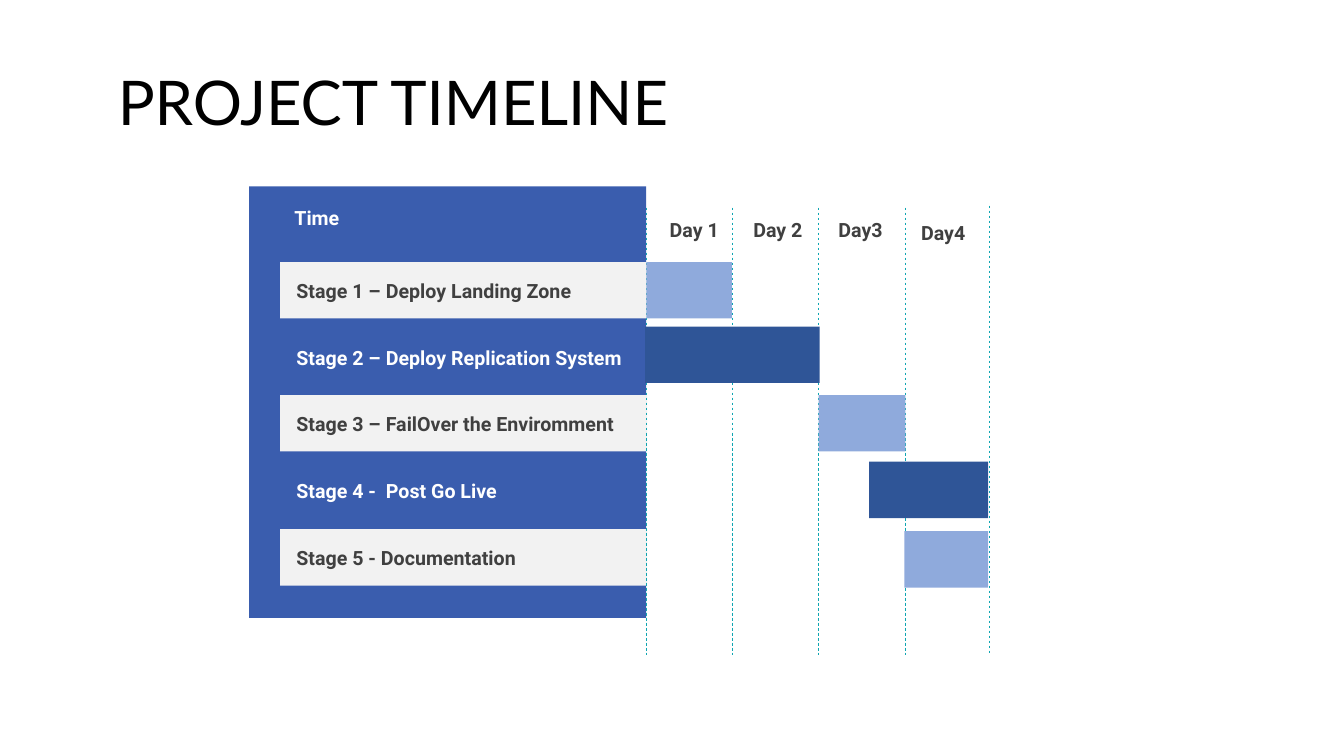
import pptx
import pptx.util
import pptx.dml.color
import pptx.enum.dml
import pptx.enum.shapes
import pptx.enum.text
import pptx.oxml.ns
import lxml.etree

PX = 9144
BLUE, DARK, LIGHT = "3A5DAE", "2F5597", "8FAADC"
GREY, TEXT, WHITE, TEAL = "F2F2F2", "404040", "FFFFFF", "0FA5B1"
ANCHOR = pptx.enum.text.MSO_ANCHOR
ALIGN = pptx.enum.text.PP_ALIGN
LABEL = {"size": pptx.util.Pt(14), "name": "Roboto", "bold": True}
TITLE = {"size": pptx.util.Pt(44), "name": "Lato"}

STAGES = [
    "Stage 1 – Deploy Landing Zone",
    "Stage 2 – Deploy Replication System",
    "Stage 3 – FailOver the Enviromment",
    "Stage 4 -  Post Go Live",
    "Stage 5 - Documentation",
]
BARS = [
    (641, 260, 85),
    (640, 324, 173),
    (812, 392, 86),
    (862, 458, 118),
    (897, 527, 83),
]
DAYS = [("Day 1", 654, 216), ("Day 2", 737, 216), ("Day3", 819, 216), ("Day4", 901, 219)]
GRID_LINES = [(641, 206), (726, 206), (812, 206), (898, 206), (981, 204)]


def px(*lengths):
    return [pptx.util.Emu(n * PX) for n in lengths]


def rgb(color):
    return pptx.dml.color.RGBColor.from_string(color)


def set_all(obj, values):
    for key, value in values.items():
        setattr(obj, key, value)


def add_rect(s, box, color):
    sp = s.shapes.add_shape(pptx.enum.shapes.MSO_SHAPE.RECTANGLE, *px(*box))
    sp.shadow.inherit = False
    sp.fill.solid()
    sp.fill.fore_color.rgb = rgb(color)
    sp.line.fill.background()
    return sp


def write(sp, text, color, font=LABEL, left=0, anchor=ANCHOR.TOP, align=ALIGN.LEFT):
    tf = sp.text_frame
    margin = px(left)[0]
    set_all(tf, {"word_wrap": True, "vertical_anchor": anchor, "margin_left": margin,
                 "margin_top": 0, "margin_right": 0, "margin_bottom": 0})
    p = tf.paragraphs[0]
    p.alignment = align
    r = p.add_run()
    r.text = text
    set_all(r.font, font)
    r.font.color.rgb = rgb(color)
    return p


def add_text(s, box, text, color, **style):
    return write(s.shapes.add_textbox(*px(*box)), text, color, **style)


def add_grid_line(s, x, top):
    line = s.shapes.add_connector(
        pptx.enum.shapes.MSO_CONNECTOR.STRAIGHT, *px(x, top, x, top + 444))
    set_all(line.line, {"width": pptx.util.Pt(0.5),
                        "dash_style": pptx.enum.dml.MSO_LINE.DASH})
    line.line.color.rgb = rgb(TEAL)
    sp_pr = line._element.spPr
    lxml.etree.SubElement(sp_pr, pptx.oxml.ns.qn("a:effectLst"))


def add_stage(s, i, name):
    top = 260 + i * 265 // 4
    style = {"left": 16, "anchor": ANCHOR.MIDDLE}
    if i % 2:
        add_text(s, (278, top + 14, 400, 29), name, WHITE, **style)
    else:
        write(add_rect(s, (278, top, 364, 56), GREY), name, TEXT, **style)


def main():
    prs = pptx.Presentation()
    prs.slide_width, prs.slide_height = px(1333, 750)
    s = prs.slides.add_slide(prs.slide_layouts[6])

    add_rect(s, (247, 185, 394, 428), BLUE)
    title = add_text(s, (107, 59, 1150, 92), "PROJECT TIMELINE", "000000",
                     font=TITLE, left=10, anchor=ANCHOR.MIDDLE)
    title.line_spacing = 0.9
    add_text(s, (292, 204, 60, 29), "Time", WHITE)
    for i, name in enumerate(STAGES):
        add_stage(s, i, name)
    for x, top in GRID_LINES:
        add_grid_line(s, x, top)
    for i, (x, top, width) in enumerate(BARS):
        add_rect(s, (x, top, width, 56), DARK if i % 2 else LIGHT)
    for day, x, top in DAYS:
        add_text(s, (x, top, 69, 29), day, TEXT, align=ALIGN.CENTER)

    prs.save("out.pptx")


if __name__ == "__main__":
    main()
